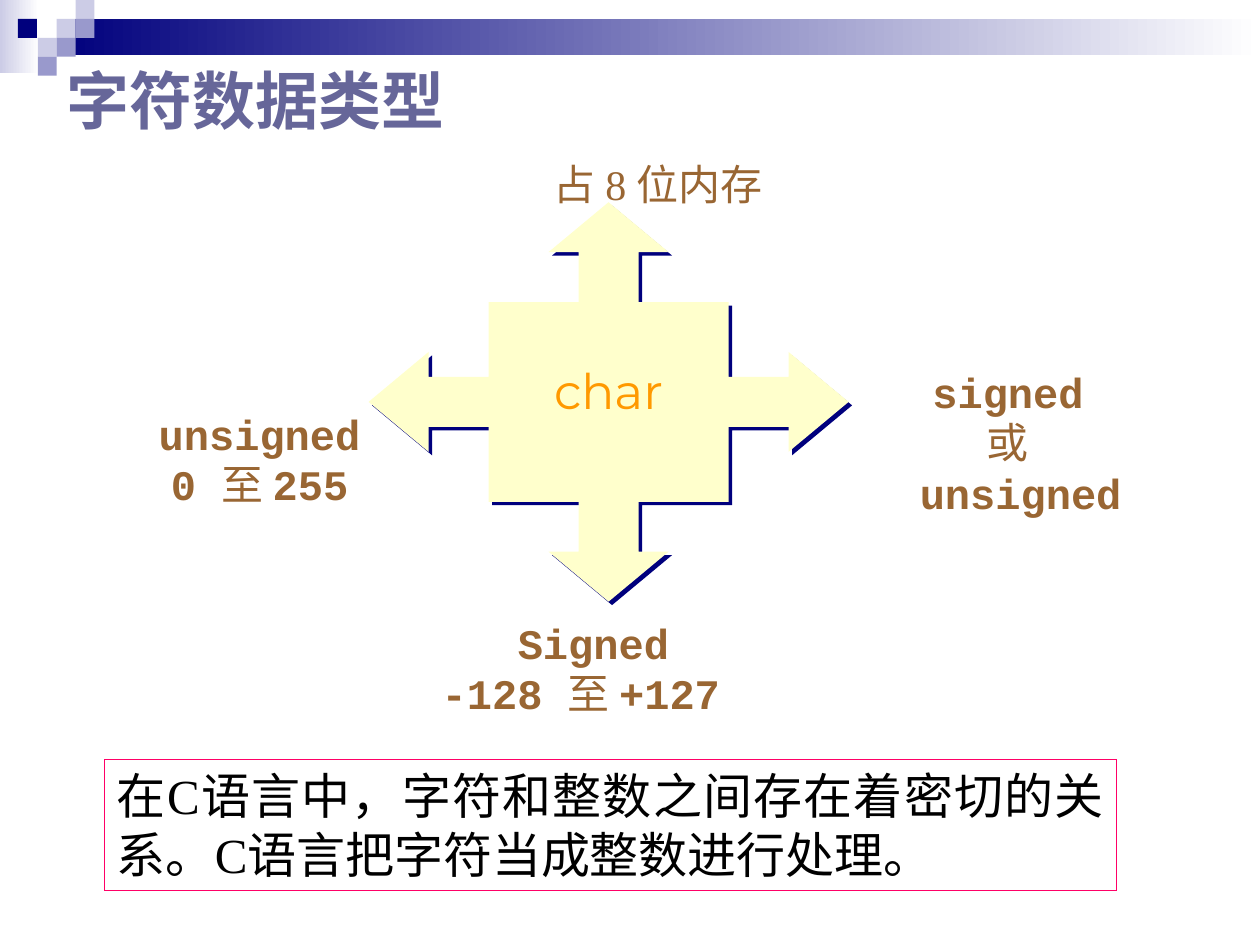
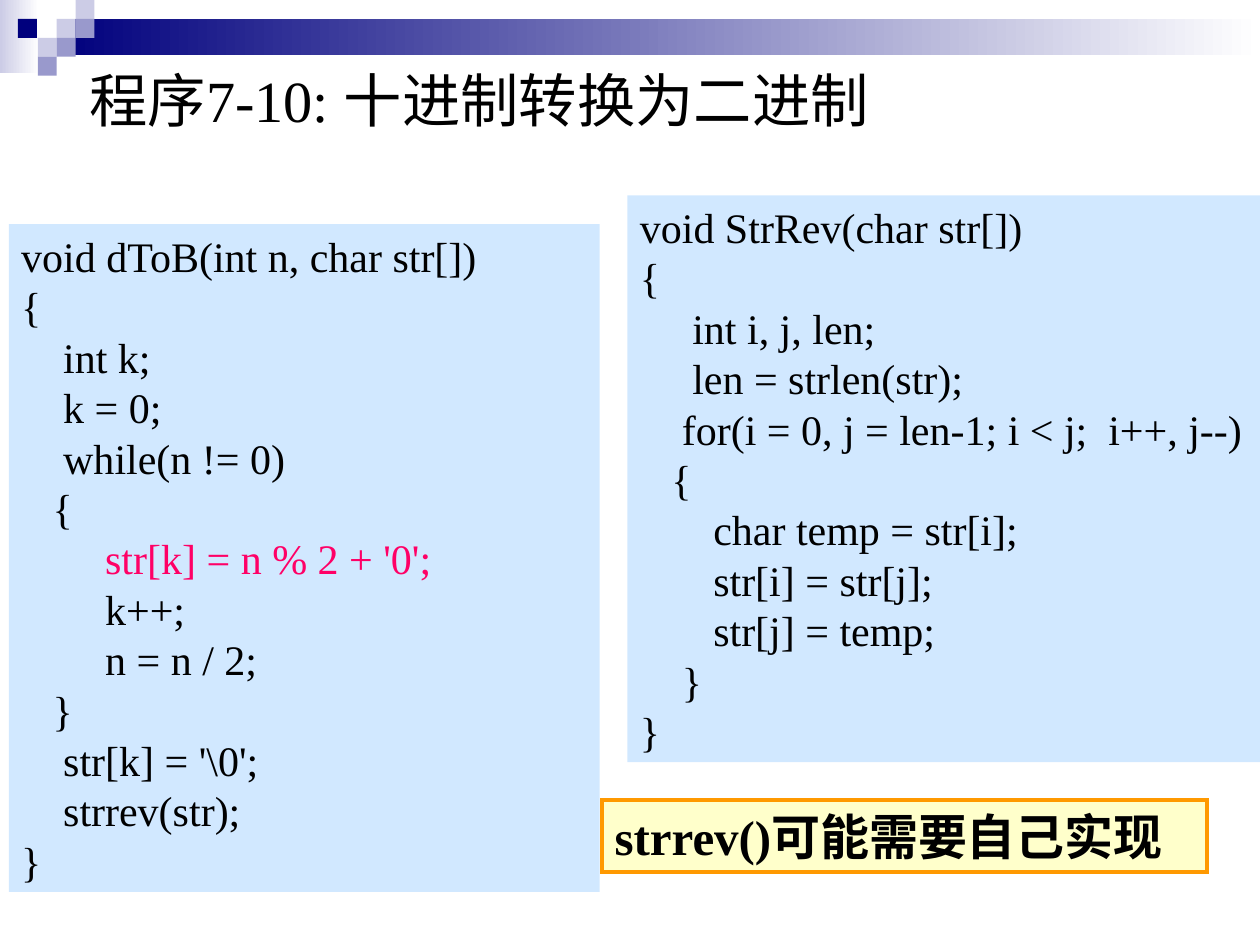
from lxml.etree import SubElement
from pptx import Presentation
from pptx.dml.color import RGBColor
from pptx.enum.shapes import MSO_SHAPE as Preset
from pptx.enum.text import MSO_ANCHOR as Anchor, PP_ALIGN as Align
from pptx.oxml.ns import qn
from pptx.util import Inches, Pt

BLACK = RGBColor(0x00, 0x00, 0x00)
WHITE = RGBColor(0xFF, 0xFF, 0xFF)
NAVY = RGBColor(0x00, 0x00, 0x7D)
LAVENDER = RGBColor(0xCC, 0xCC, 0xE6)
PERIWINKLE = RGBColor(0x99, 0x99, 0xCC)
TITLE_PURPLE = RGBColor(0x66, 0x66, 0x99)
CREAM = RGBColor(0xFF, 0xFF, 0xCC)
YELLOW = RGBColor(0xFF, 0xFF, 0x99)
ORANGE = RGBColor(0xFF, 0x99, 0x00)
BROWN = RGBColor(0x99, 0x66, 0x33)
PINK = RGBColor(0xFF, 0x00, 0x66)
CODE_BLUE = RGBColor(0xD1, 0xE8, 0xFF)
SERIF = "Times New Roman"
MONO = "Courier New"
SQUARE = 0.15


def draw_rectangle(slide, box, fill=None, line=None, line_width=0.75):
    shape = slide.shapes.add_shape(Preset.RECTANGLE, *map(Inches, box))
    shape.shadow.inherit = False
    if isinstance(fill, tuple) and not isinstance(fill, RGBColor):
        shape.fill.gradient()
        shape.fill.gradient_angle = 0
        for stop, color in zip(shape.fill.gradient_stops, fill):
            stop.color.rgb = color
    elif fill is not None:
        shape.fill.solid()
        shape.fill.fore_color.rgb = fill
    else:
        shape.fill.background()
    if line is not None:
        shape.line.color.rgb = line
        shape.line.width = Pt(line_width)
        SubElement(shape.element.spPr.find(qn("a:ln")), qn("a:miter"), lim="800000")
    else:
        shape.line.fill.background()
    return shape


def write_text(shape, lines, size, font, color, bold=False,
               align=Align.LEFT, wrap=True, anchor=Anchor.TOP, spacing=1.0):
    frame = shape.text_frame
    frame.word_wrap = wrap
    frame.vertical_anchor = anchor
    for index, line in enumerate(lines):
        paragraph = frame.add_paragraph() if index else frame.paragraphs[0]
        paragraph.alignment = align
        paragraph.line_spacing = spacing
        for text, changes in line:
            run = paragraph.add_run()
            run.text = text
            run.font.name = font
            run.font.size = Pt(size)
            run.font.bold = changes.get("bold", bold)
            run.font.color.rgb = changes.get("color", color)


presentation = Presentation()
presentation.slide_width = Inches(10)
presentation.slide_height = Inches(7.5)
blank = presentation.slide_layouts[6]
types_slide, program_slide = [presentation.slides.add_slide(blank) for _ in range(2)]

squares = [
    (1, 1, LAVENDER), (2, 0, LAVENDER), (2, 1, PERIWINKLE), (0, 2, LAVENDER),
    (-1.05, 1, NAVY), (1, 2, PERIWINKLE), (0, 3, PERIWINKLE),
]
for slide in (types_slide, program_slide):
    draw_rectangle(slide, (0, 0, 0.31, 0.58), (LAVENDER, WHITE))
    draw_rectangle(slide, (0.45, 0.15, 9.55, 0.29), (NAVY, WHITE))
    for column, row, color in squares:
        draw_rectangle(slide, (0.3 + column * SQUARE, row * SQUARE, SQUARE, SQUARE), color)

titles = [
    (types_slide, (0.43, 0.44, 9, 0.69), "字符数据类型", 36, "Arial",
     TITLE_PURPLE, True, Anchor.MIDDLE, 1.0),
    (program_slide, (0.61, 0.52, 8.35, 0.69), "程序7-10: 十进制转换为二进制", 33.3, SERIF,
     BLACK, False, Anchor.TOP, 0.9),
]
for slide, box, title, size, font, color, bold, anchor, spacing in titles:
    title_box = slide.shapes.add_textbox(*map(Inches, box))
    write_text(title_box, [[(title, {})]], size, font, color, bold,
               anchor=anchor, spacing=spacing)

arm = [(-4, -4), (-1, -4), (-1, -6), (-2, -6), (0, -8), (2, -6), (1, -6), (1, -4)]
outline = []
for _ in range(4):
    outline += arm
    arm = [(-y, x) for x, y in arm]
builder = types_slide.shapes.build_freeform(
    *outline[0], scale=(Inches(3.81) / 16, Inches(3.17) / 16))
builder.add_line_segments(outline[1:], close=True)
arrows = builder.convert_to_shape(Inches(4.83), Inches(3.19))
arrows.fill.solid()
arrows.fill.fore_color.rgb = CREAM
arrows.line.fill.background()
arrows.shadow.inherit = False
effects = arrows.element.spPr.find(qn("a:effectLst"))
shadow = SubElement(effects, qn("a:outerShdw"), dist=str(Pt(2.8)), dir="2700000",
                    algn="ctr", rotWithShape="0")
SubElement(shadow, qn("a:srgbClr"), val=str(NAVY))

plain = {"bold": False}
labels = [
    ((4.23, 2.81, 1.2, 0.59), [[("char", {})]], 28, "Montserrat", ORANGE, False),
    ((4.17, 1.21, 2.11, 0.5), [[("占 8 位内存", {})]], 24, SERIF, BROWN, False),
    ((7, 2.86, 2, 1.3), [[("signed", {})], [("或", plain)], [(" unsigned", {})]],
     24, MONO, BROWN, True),
    ((3.28, 4.85, 2.86, 0.9),
     [[("Signed", {})], [("-128 ", {}), ("至 ", plain), ("+127 ", {})]],
     24, MONO, BROWN, True),
    ((0.93, 3.19, 2.26, 0.9),
     [[("unsigned", {})], [(" 0 ", {}), ("至 ", plain), ("255 ", {})]],
     24, MONO, BROWN, True),
]
for box, lines, size, font, color, bold in labels:
    label = types_slide.shapes.add_textbox(*map(Inches, box))
    write_text(label, lines, size, font, color, bold, Align.CENTER, wrap=False)

summary = draw_rectangle(types_slide, (0.83, 6.03, 8.03, 1.04), line=PINK)
write_text(summary, [[("在C语言中，字符和整数之间存在着密切的关系。C语言把字符当成整数进行处理。", {})]],
           28, SERIF, BLACK, align=Align.JUSTIFY)

reverse_code = """void StrRev(char str[])
{
     int i, j, len;
     len = strlen(str);
    for(i = 0, j = len-1; i < j;  i++, j--)
   {
       char temp = str[i];
       str[i] = str[j];
       str[j] = temp;
    }
}"""
convert_code = r"""void dToB(int n, char str[])
{
    int k;
    k = 0;
    while(n != 0)
   {
        str[k] = n % 2 + '0';
        k++;
        n = n / 2;
   }
    str[k] = '\0';
    strrev(str);
}"""
for box, code in [((4.98, 1.55, 5.12, 4.5), reverse_code),
                  ((0.07, 1.78, 4.69, 5.3), convert_code)]:
    panel = draw_rectangle(program_slide, box, CODE_BLUE)
    lines = [[(line, {"color": PINK} if "%" in line else {})] for line in code.splitlines()]
    write_text(panel, lines, 24, SERIF, BLACK)

hint = draw_rectangle(program_slide, (4.78, 6.35, 4.8, 0.57), YELLOW, ORANGE, 2)
hint_color = hint.element.spPr.find(qn("a:solidFill")).find(qn("a:srgbClr"))
SubElement(hint_color, qn("a:alpha"), val="50000")
write_text(hint, [[("strrev()可能需要自己实现", {})]], 28, SERIF, BLACK, True, Align.JUSTIFY)

presentation.save("out.pptx")
